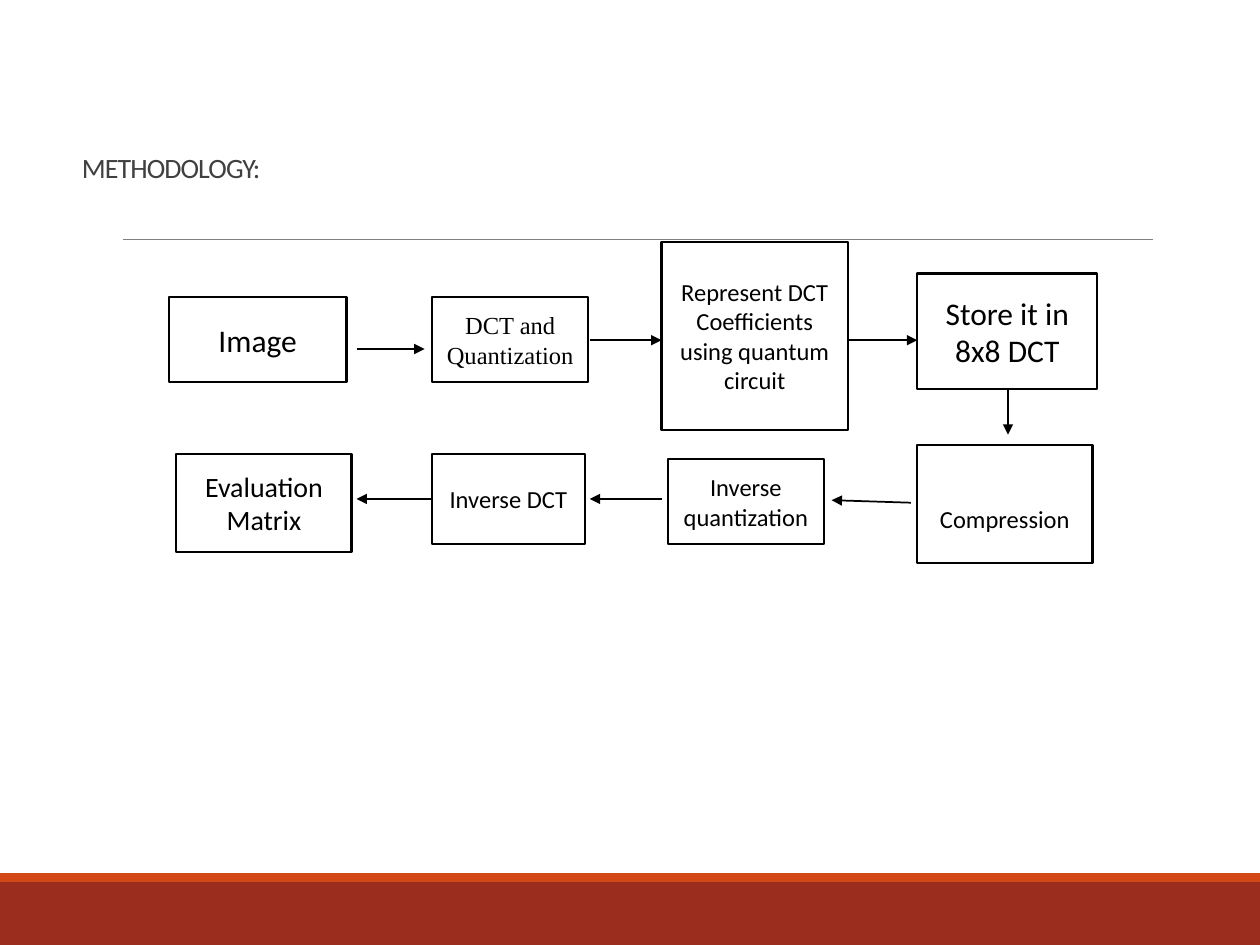
from pptx import Presentation
from pptx.dml.color import RGBColor
from pptx.enum.shapes import MSO_CONNECTOR, MSO_SHAPE
from pptx.enum.text import MSO_ANCHOR, PP_ALIGN
from pptx.oxml.ns import qn
from pptx.util import Inches, Pt
from lxml.etree import SubElement

COLORS = {"ink": "000000", "paper": "FFFFFF", "title": "404040",
          "rule": "808080", "band": "9B2D1F", "accent": "D34817"}

# text, box (left, top, width, height), size, extra format
STEPS = [
    ("Image", (1.34, 2.36, 1.41, 0.67), 18, {}),
    ("DCT and Quantization", (3.43, 2.36, 1.24, 0.67), 14,
     {"font": "Times New Roman"}),
    ("Represent DCT Coefficients using quantum\ncircuit",
     (5.25, 1.92, 1.48, 1.49), 14, {}),
    ("Store it in 8x8 DCT", (7.28, 2.17, 1.43, 0.92), 18, {}),
    ("Compression", (7.28, 3.53, 1.39, 0.94), 14, {"drop": 0.24}),
    ("Inverse quantization", (5.3, 3.64, 1.24, 0.68), 14, {}),
    ("Inverse DCT", (3.43, 3.6, 1.21, 0.72), 14, {}),
    ("Evaluation Matrix", (1.4, 3.6, 1.39, 0.78), 16, {}),
]
# from x, y to x, y
ARROWS = [
    (2.83, 2.77, 3.37, 2.77), (4.68, 2.7, 5.25, 2.7), (6.72, 2.7, 7.28, 2.7),
    (8, 3.09, 8, 3.45),
    (7.23, 3.99, 6.6, 3.97), (5.25, 3.96, 4.68, 3.96), (3.43, 3.96, 2.83, 3.96),
]


def rgb(name):
    return RGBColor.from_string(COLORS[name])


def set_all(target, **values):
    for name, value in values.items():
        setattr(target, name, value)


def add_box(s, kind, box, fill, line=None):
    sp = s.shapes.add_shape(kind, *map(Inches, box))
    sp.shadow.inherit = False
    sp.fill.solid()
    sp.fill.fore_color.rgb = rgb(fill)
    if line:
        sp.line.color.rgb = rgb(line)
        sp.line.width = Pt(1.25)
    else:
        sp.line.fill.background()
    return sp


def add_line(s, ends, color, width, arrow=False):
    cx = s.shapes.add_connector(MSO_CONNECTOR.STRAIGHT, *map(Inches, ends))
    cx.line.color.rgb = rgb(color)
    cx.line.width = Pt(width)
    if arrow:
        SubElement(cx.line._get_or_add_ln(), qn("a:tailEnd"), type="triangle")
    SubElement(cx._element.spPr, qn("a:effectLst"))


def add_step(s, text, box, size, font="Calibri", drop=0):
    """Add a process box; drop is extra top margin that lowers its text."""
    sp = add_box(s, MSO_SHAPE.FLOWCHART_PROCESS, box, "paper", "ink")
    tf = sp.text_frame
    set_all(tf, text=text, word_wrap=True, vertical_anchor=MSO_ANCHOR.MIDDLE,
            margin_top=Inches(0.05 + drop))
    for p in tf.paragraphs:
        p.alignment = PP_ALIGN.CENTER
        set_all(p.font, name=font, size=Pt(size))
        p.font.color.rgb = rgb("ink")


def add_title(s, text, box):
    sp = s.shapes.title
    set_all(sp, **dict(zip(("left", "top", "width", "height"), map(Inches, box))))
    tf = sp.text_frame
    set_all(tf, text=text, word_wrap=True, vertical_anchor=MSO_ANCHOR.BOTTOM,
            margin_bottom=Inches(0.27))
    p = tf.paragraphs[0]
    set_all(p, alignment=PP_ALIGN.LEFT, line_spacing=0.85)
    r = p.runs[0]
    set_all(r.font, name="Calibri", size=Pt(16))
    r.font.color.rgb = rgb("title")
    r.font._element.set("spc", "-50")


def add_frame(s):
    """Add the footer bands and the rule below the title."""
    add_box(s, MSO_SHAPE.RECTANGLE, (0, 7, 10, 0.5), "band")
    add_box(s, MSO_SHAPE.RECTANGLE, (0, 6.93, 10, 0.07), "accent")
    add_line(s, (0.98, 1.9, 9.15, 1.9), "rule", 0.5)


def add_flow(s):
    for text, box, size, extra in STEPS:
        add_step(s, text, box, size, **extra)
    for ends in ARROWS:
        add_line(s, ends, "ink", 1, arrow=True)


def main():
    prs = Presentation()
    set_all(prs, slide_width=Inches(10), slide_height=Inches(7.5))
    s = prs.slides.add_slide(prs.slide_layouts[5])
    add_frame(s)
    add_title(s, "METHODOLOGY:", (0.55, 0.57, 8.25, 1.16))
    add_flow(s)
    prs.save("out.pptx")


if __name__ == "__main__":
    main()
